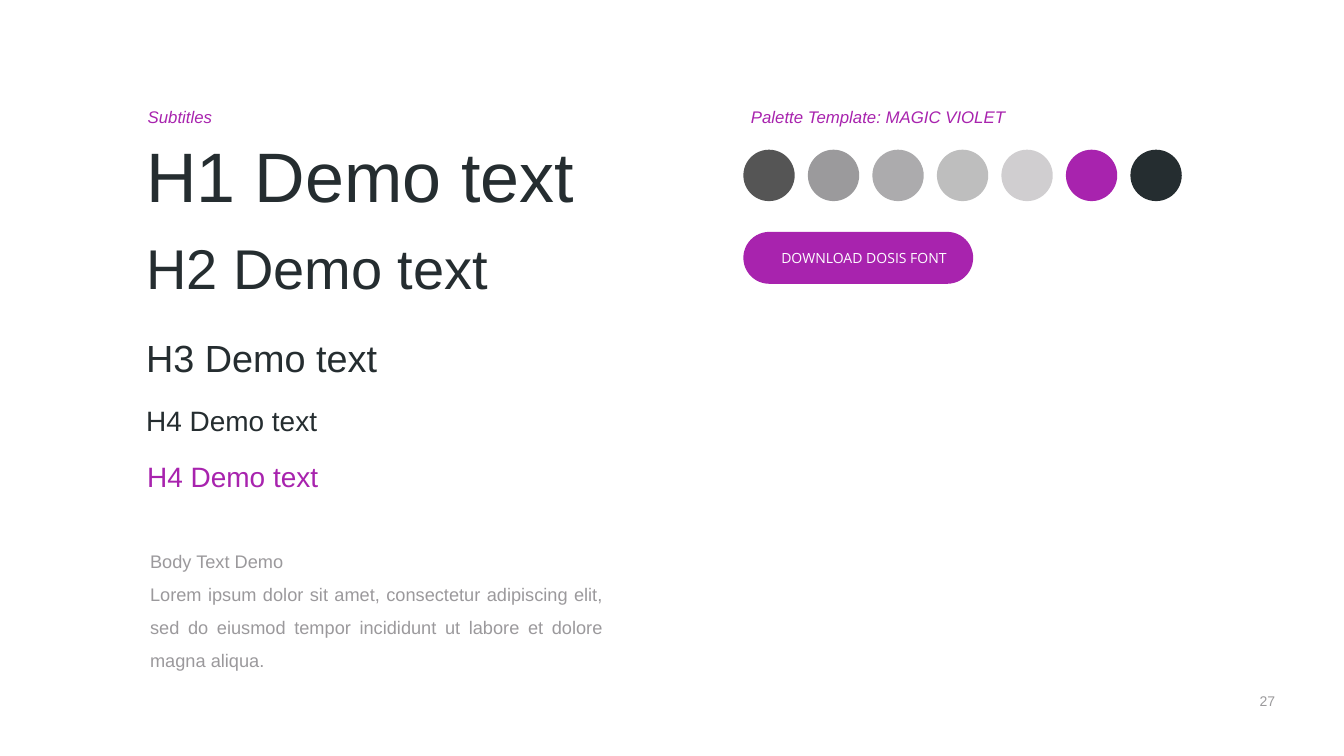
from dataclasses import dataclass

from pptx import Presentation
from pptx.dml.color import RGBColor
from pptx.enum.shapes import MSO_SHAPE
from pptx.enum.text import MSO_ANCHOR, MSO_AUTO_SIZE, PP_ALIGN
from pptx.util import Inches, Pt

LEFT, CENTER, JUSTIFY = PP_ALIGN.LEFT, PP_ALIGN.CENTER, PP_ALIGN.JUSTIFY
TOP, MIDDLE = MSO_ANCHOR.TOP, MSO_ANCHOR.MIDDLE
OVAL, PILL = MSO_SHAPE.OVAL, MSO_SHAPE.ROUNDED_RECTANGLE
FIXED_SIZE = MSO_AUTO_SIZE.NONE
TITLE_ONLY = 5
TIGHT = (0.04, 0.04, 0.04, 0.04)
BODY_INSETS = (0.1, 0.05, 0.1, 0.05)
BUTTON_INSETS = (0.43, 0.2, 0.2, 0.2)


@dataclass(frozen=True)
class Theme:
    font: str = "Arial"
    button_font: str = "Open Sans"
    violet: str = "A823AE"
    ink: str = "252D30"
    grey: str = "9B9A9C"
    body_grey: str = "9B999C"
    button_text: str = "FEFCFF"
    swatches: tuple = ("555555", "9B9A9C", "ACABAD", "BEBEBE",
                       "D0CED0", "A823AE", "252D30")
    h1: int = 100
    h2: int = 80
    h3: int = 54
    h4: int = 40
    body: int = 26
    subtitle: int = 24
    small: int = 20


class StyleSlide:
    """Places elements by (left, top, width, height) in percent of the slide."""

    def __init__(self, deck, theme):
        self.deck = deck
        self.theme = theme
        self.slide = deck.slides.add_slide(deck.slide_layouts[TITLE_ONLY])

    def frame(self, area):
        width, height = self.deck.slide_width, self.deck.slide_height
        return [round(share * side / 100)
                for share, side in zip(area, (width, height, width, height))]

    def fill_text(self, box, paragraphs, size, color, font=None, italic=False,
                  align=LEFT, anchor=TOP, insets=TIGHT, spacing=None):
        text = box.text_frame
        text.word_wrap = True
        text.auto_size = FIXED_SIZE
        text.vertical_anchor = anchor
        (text.margin_left, text.margin_top,
         text.margin_right, text.margin_bottom) = map(Inches, insets)
        for index, words in enumerate(paragraphs):
            para = text.add_paragraph() if index else text.paragraphs[0]
            para.alignment = align
            para.line_spacing = spacing
            span = para.add_run()
            span.text = words
            span.font.name = font or self.theme.font
            span.font.size = Pt(size)
            span.font.italic = italic
            span.font.color.rgb = RGBColor.from_string(color)

    def title(self, area, words, size, color):
        box = self.slide.shapes.title
        box.left, box.top, box.width, box.height = self.frame(area)
        self.fill_text(box, [words], size, color)

    def text(self, area, paragraphs, size, color, **style):
        box = self.slide.shapes.add_textbox(*self.frame(area))
        self.fill_text(box, paragraphs, size, color, **style)

    def subtitle(self, left, words):
        self.text((left, 13.8, 22.95, 3.27), [words], self.theme.subtitle,
                  self.theme.violet, italic=True, anchor=MIDDLE)

    def shape(self, kind, area, color):
        shape = self.slide.shapes.add_shape(kind, *self.frame(area))
        shape.shadow.inherit = False
        shape.fill.solid()
        shape.fill.fore_color.rgb = RGBColor.from_string(color)
        shape.line.fill.background()
        return shape

    def palette(self, left, top, pitch):
        for index, color in enumerate(self.theme.swatches):
            self.shape(OVAL, (left + index * pitch, top, 3.82, 6.8), color)

    def button(self, area, words):
        pill = self.shape(PILL, area, self.theme.violet)
        pill.adjustments[0] = 0.5
        self.fill_text(pill, [words], self.theme.small, self.theme.button_text,
                       font=self.theme.button_font, align=CENTER,
                       anchor=MIDDLE, insets=BUTTON_INSETS)


def main():
    deck = Presentation()
    deck.slide_width, deck.slide_height = Inches(26.67), Inches(15)
    theme = Theme()
    page = StyleSlide(deck, theme)

    page.subtitle(10.84, "Subtitles")
    page.title((10.72, 17.2, 38.7, 11.53), "H1 Demo text", theme.h1, theme.ink)
    headings = [
        ("H2 Demo text", 10.72, 30.6, 11.53, theme.h2, theme.ink),
        ("H3 Demo text", 10.72, 44, 7.33, theme.h3, theme.ink),
        ("H4 Demo text", 10.72, 53.13, 7.33, theme.h4, theme.ink),
        ("H4 Demo text", 10.8, 60.47, 7.33, theme.h4, theme.violet),
    ]
    for words, left, top, height, size, color in headings:
        page.text((left, top, 38.7, height), [words], size, color)
    page.text((10.8, 71.07, 34.46, 13.27),
              ["Body Text Demo",
               "Lorem ipsum dolor sit amet, consectetur adipiscing elit, "
               "sed do eiusmod tempor incididunt ut labore et dolore "
               "magna aliqua."],
              theme.body, theme.body_grey, align=JUSTIFY,
              insets=BODY_INSETS, spacing=1.5)

    page.subtitle(55.72, "Palette Template: MAGIC VIOLET")
    page.palette(left=55.31, top=19.8, pitch=4.8)
    page.button((55.31, 30.67, 17.1, 6.87), "DOWNLOAD DOSIS FONT")
    page.text((92.46, 91.27, 3.67, 2.8), ["27"], theme.small, theme.grey,
              align=CENTER)

    deck.save("out.pptx")


if __name__ == "__main__":
    main()
